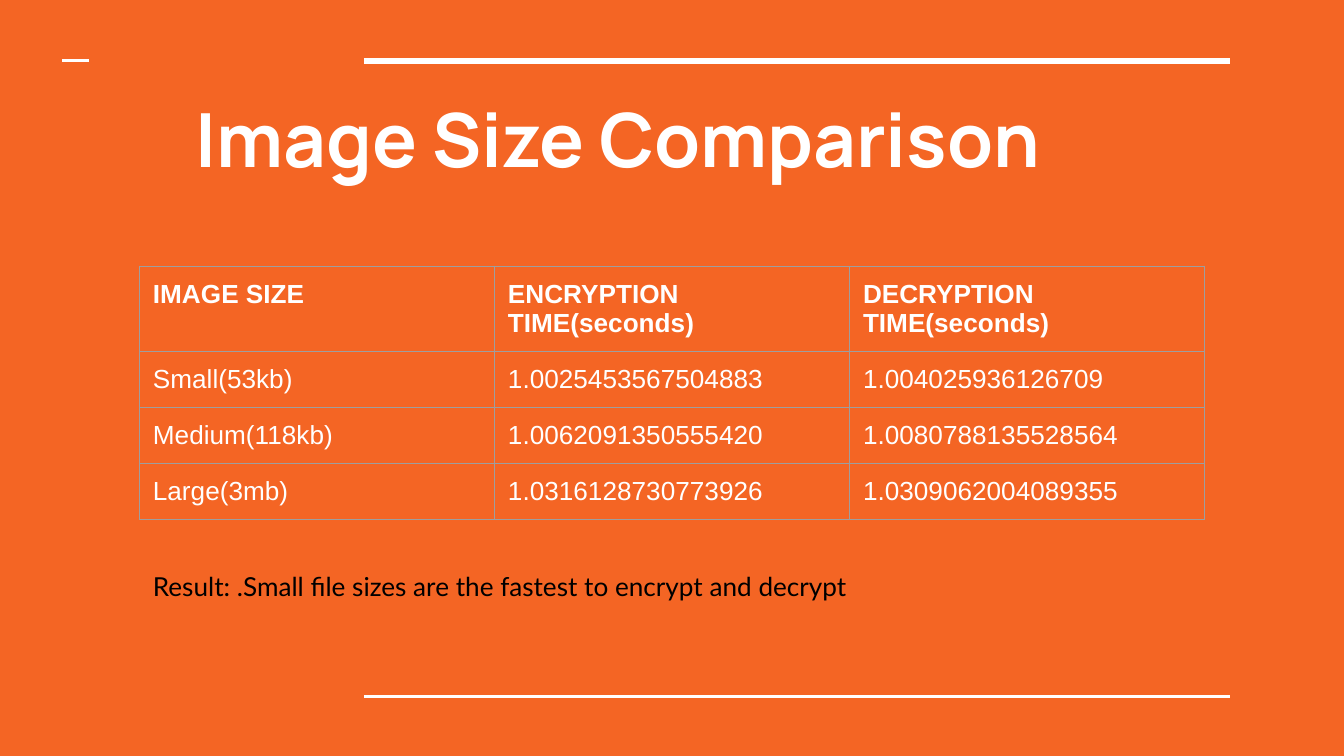
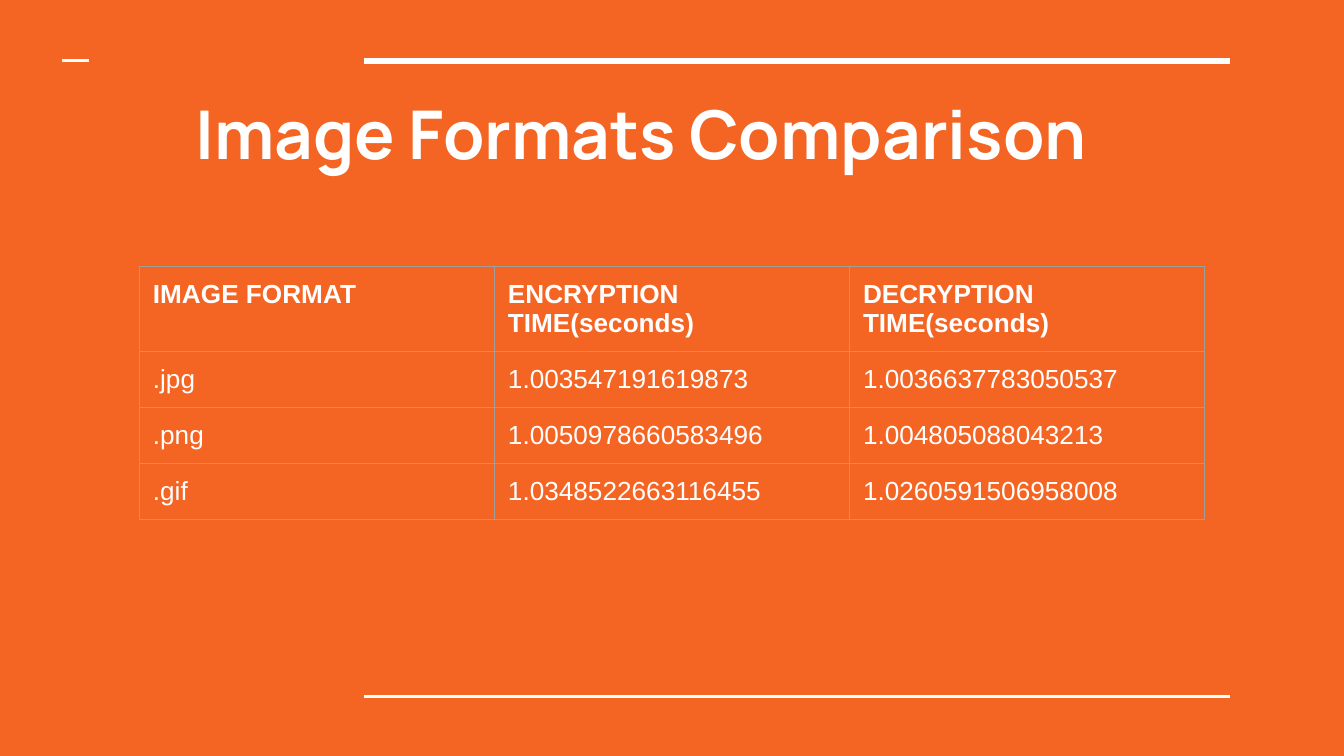
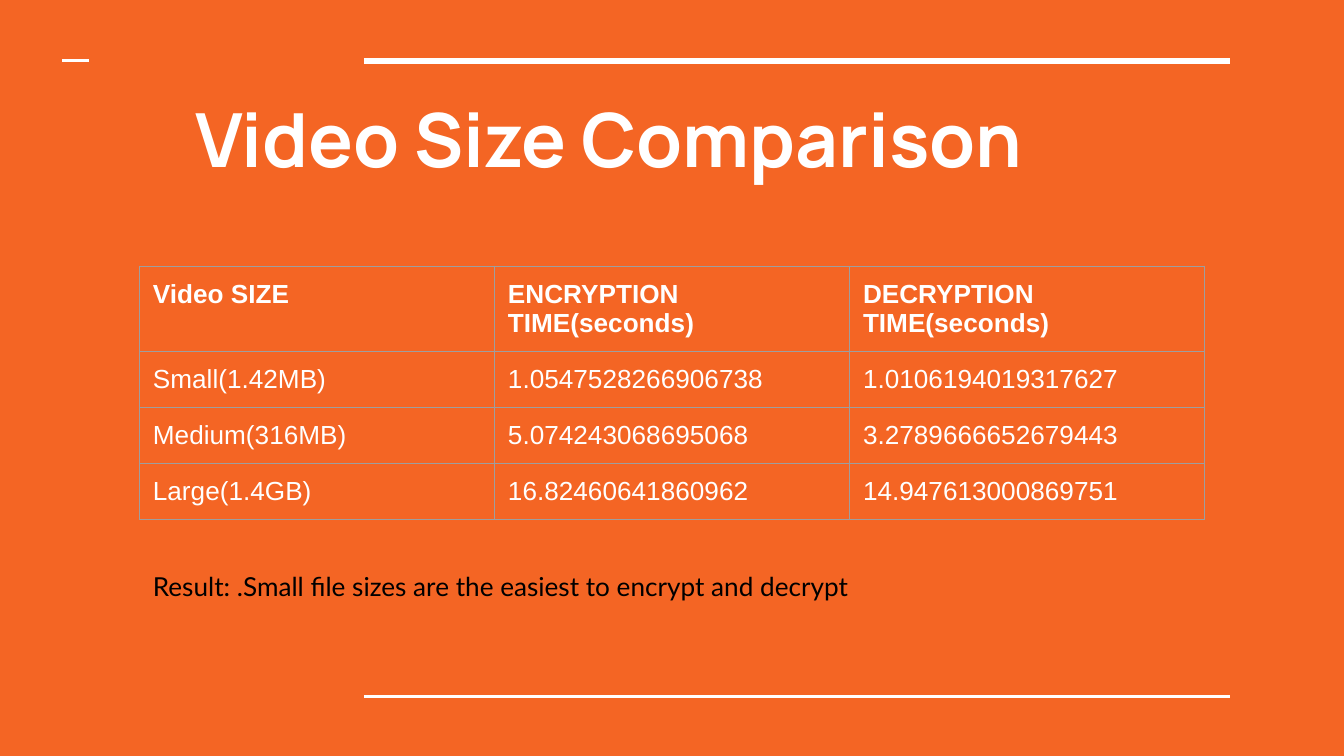
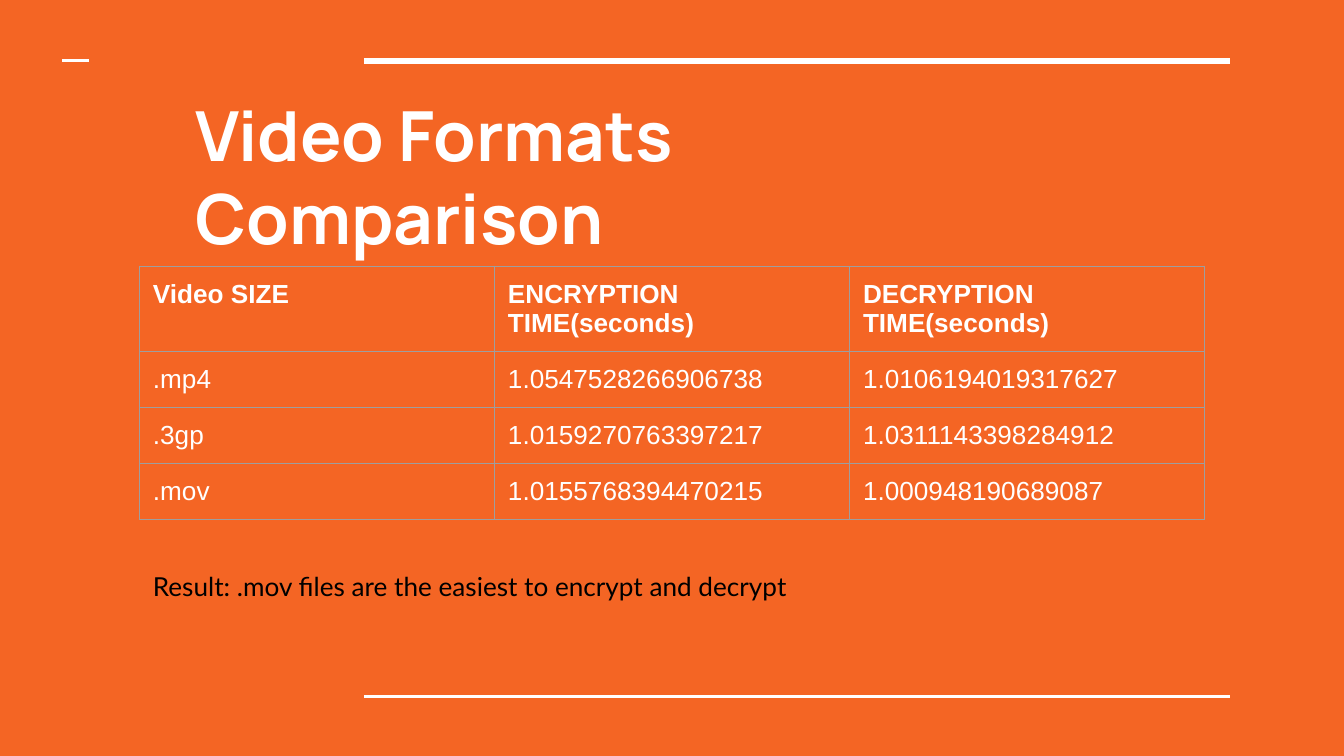
from lxml.etree import SubElement
from pptx import Presentation
from pptx.dml.color import RGBColor
from pptx.enum.shapes import MSO_CONNECTOR as Connector
from pptx.enum.text import MSO_ANCHOR as Anchor, MSO_AUTO_SIZE as AutoSize
from pptx.oxml.ns import qn
from pptx.util import Cm, Pt

COLORS = {"orange": "F46524", "white": "FFFFFF", "black": "000000", "grey": "9E9E9E"}
INSET = Cm(0.25)
TABLE_LEFT, TABLE_TOP = 2.64, 5.03
COLUMN_WIDTH, ROW_HEIGHT = 6.71, 1.06
TIME_HEADINGS = ("ENCRYPTION TIME(seconds)", "DECRYPTION TIME(seconds)")

RULES = [
    (6.88, 23.24, 1.15, 3),
    (6.88, 23.24, 13.16, 1.5),
    (1.18, 1.69, 1.15, 1.5),
]

COMPARISONS = [
    {
        "title": "Image Size Comparison",
        "title_size": 40,
        "subject": "IMAGE SIZE",
        "timings": [
            ("Small(53kb)", "1.0025453567504883", "1.004025936126709"),
            ("Medium(118kb)", "1.0062091350555420", "1.0080788135528564"),
            ("Large(3mb)", "1.0316128730773926", "1.0309062004089355"),
        ],
        "result": "Result: .Small file sizes are the fastest to encrypt and decrypt",
    },
    {
        "title": "Image Formats Comparison",
        "title_size": 36,
        "subject": "IMAGE FORMAT",
        "timings": [
            (".jpg", "1.003547191619873", "1.0036637783050537"),
            (".png", "1.0050978660583496", "1.004805088043213"),
            (".gif", "1.0348522663116455", "1.0260591506958008"),
        ],
        "result": None,
    },
    {
        "title": "Video Size Comparison",
        "title_size": 40,
        "subject": "Video SIZE",
        "timings": [
            ("Small(1.42MB)", "1.0547528266906738", "1.0106194019317627"),
            ("Medium(316MB)", "5.074243068695068", "3.2789666652679443"),
            ("Large(1.4GB)", "16.82460641860962", "14.947613000869751"),
        ],
        "result": "Result: .Small file sizes are the easiest to encrypt and decrypt",
    },
    {
        "title": "Video Formats Comparison",
        "title_size": 37,
        "subject": "Video SIZE",
        "timings": [
            (".mp4", "1.0547528266906738", "1.0106194019317627"),
            (".3gp", "1.0159270763397217", "1.0311143398284912"),
            (".mov", "1.0155768394470215", "1.000948190689087"),
        ],
        "result": "Result: .mov files are the easiest to encrypt and decrypt",
    },
]


def color(name):
    """Return the named colour of the deck."""
    return RGBColor.from_string(COLORS[name])


def write(frame, text, *, font, size, ink="white", bold=False):
    """Put one formatted run of text into a text frame."""
    span = frame.paragraphs[0].add_run()
    span.text = text
    span.font.name = font
    span.font.size = Pt(size)
    span.font.bold = bold
    span.font.color.rgb = color(ink)


def set_insets(holder):
    """Give a text frame or a cell the same inset on every side."""
    holder.margin_left = holder.margin_right = INSET
    holder.margin_top = holder.margin_bottom = INSET


def add_text(page, text, left, top, width, height, grow=False, **style):
    """Add a wrapping text box anchored at its top."""
    box = page.shapes.add_textbox(Cm(left), Cm(top), Cm(width), Cm(height))
    frame = box.text_frame
    frame.word_wrap = True
    frame.auto_size = AutoSize.SHAPE_TO_FIT_TEXT if grow else AutoSize.NONE
    frame.vertical_anchor = Anchor.TOP
    set_insets(frame)
    write(frame, text, **style)


def add_rule(page, start, end, height, weight):
    """Add a white horizontal line."""
    rule = page.shapes.add_connector(
        Connector.STRAIGHT, Cm(start), Cm(height), Cm(end), Cm(height)
    )
    rule.line.color.rgb = color("white")
    rule.line.width = Pt(weight)
    SubElement(rule._element.spPr, qn("a:effectLst"))


def add_borders(cell):
    """Draw a thin grey border on all sides of a cell."""
    properties = cell._tc.get_or_add_tcPr()
    for side in ("lnL", "lnR", "lnT", "lnB"):
        line = SubElement(properties, qn(f"a:{side}"), w=str(Pt(0.75)))
        fill = SubElement(line, qn("a:solidFill"))
        SubElement(fill, qn("a:srgbClr"), val=COLORS["grey"])


def add_timings(page, rows):
    """Add the table of times, with a bold heading row."""
    count, width = len(rows), len(rows[0])
    table = page.shapes.add_table(
        count, width, Cm(TABLE_LEFT), Cm(TABLE_TOP),
        Cm(COLUMN_WIDTH * width), Cm(ROW_HEIGHT * count),
    ).table
    table.first_row = table.horz_banding = False
    for column in table.columns:
        column.width = Cm(COLUMN_WIDTH)
    for index, row in enumerate(rows):
        table.rows[index].height = Cm(ROW_HEIGHT)
        for position, text in enumerate(row):
            cell = table.cell(index, position)
            set_insets(cell)
            add_borders(cell)
            cell.fill.background()
            write(cell.text_frame, text, font="Arial", size=14, bold=index == 0)


def add_page(deck):
    """Add a blank orange slide with the shared rules."""
    page = deck.slides.add_slide(deck.slide_layouts[6])
    page.background.fill.solid()
    page.background.fill.fore_color.rgb = color("orange")
    for rule in RULES:
        add_rule(page, *rule)
    return page


def add_comparison(deck, title, title_size, subject, timings, result):
    """Add a slide with a title, a table of times and an optional result."""
    page = add_page(deck)
    add_timings(page, [(subject, *TIME_HEADINGS), *timings])
    add_text(page, title, 3.45, 1.5, 17.48, 2.41,
             font="Manrope", size=title_size, bold=True)
    if result:
        add_text(page, result, TABLE_LEFT, 10.54, 20.12, 1.12, grow=True,
                 font="Lato", size=14, ink="black")


def main():
    """Build the deck and save it."""
    deck = Presentation()
    deck.slide_width, deck.slide_height = Cm(25.4), Cm(14.29)
    for comparison in COMPARISONS:
        add_comparison(deck, **comparison)
    deck.save("out.pptx")


if __name__ == "__main__":
    main()
